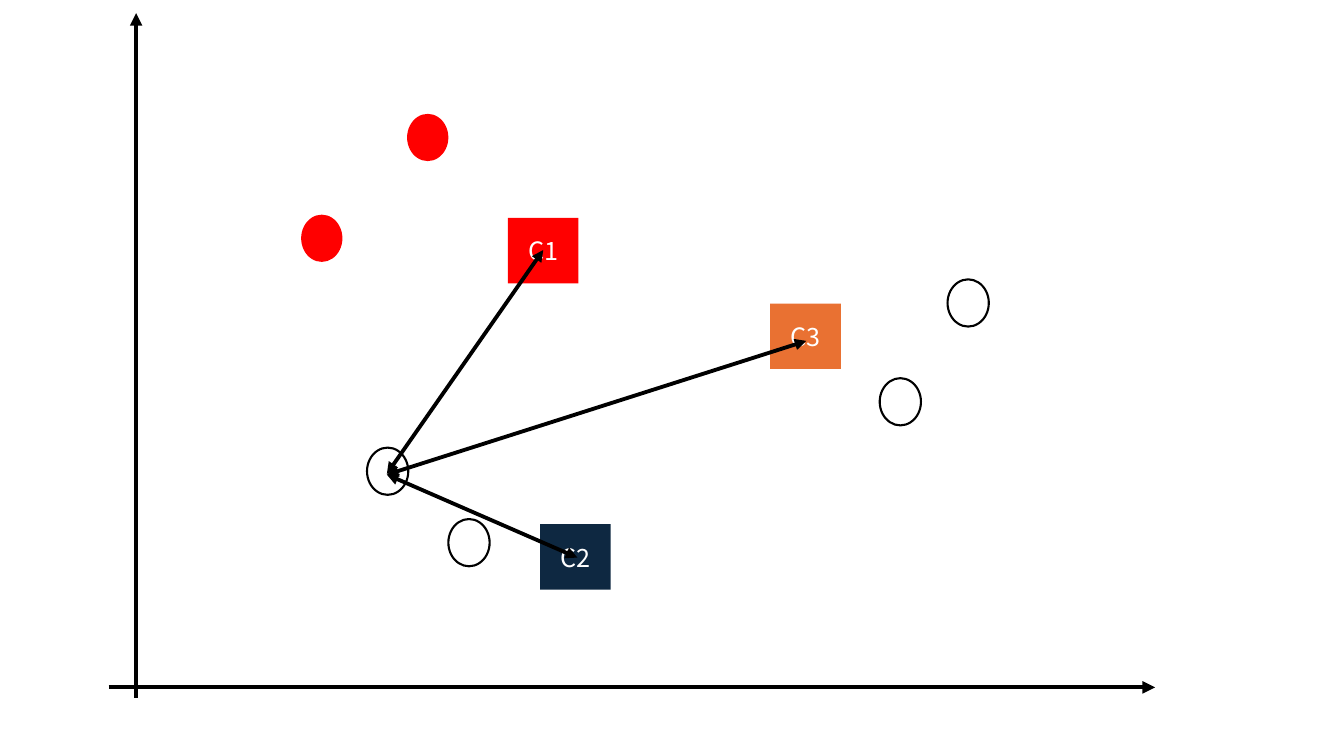
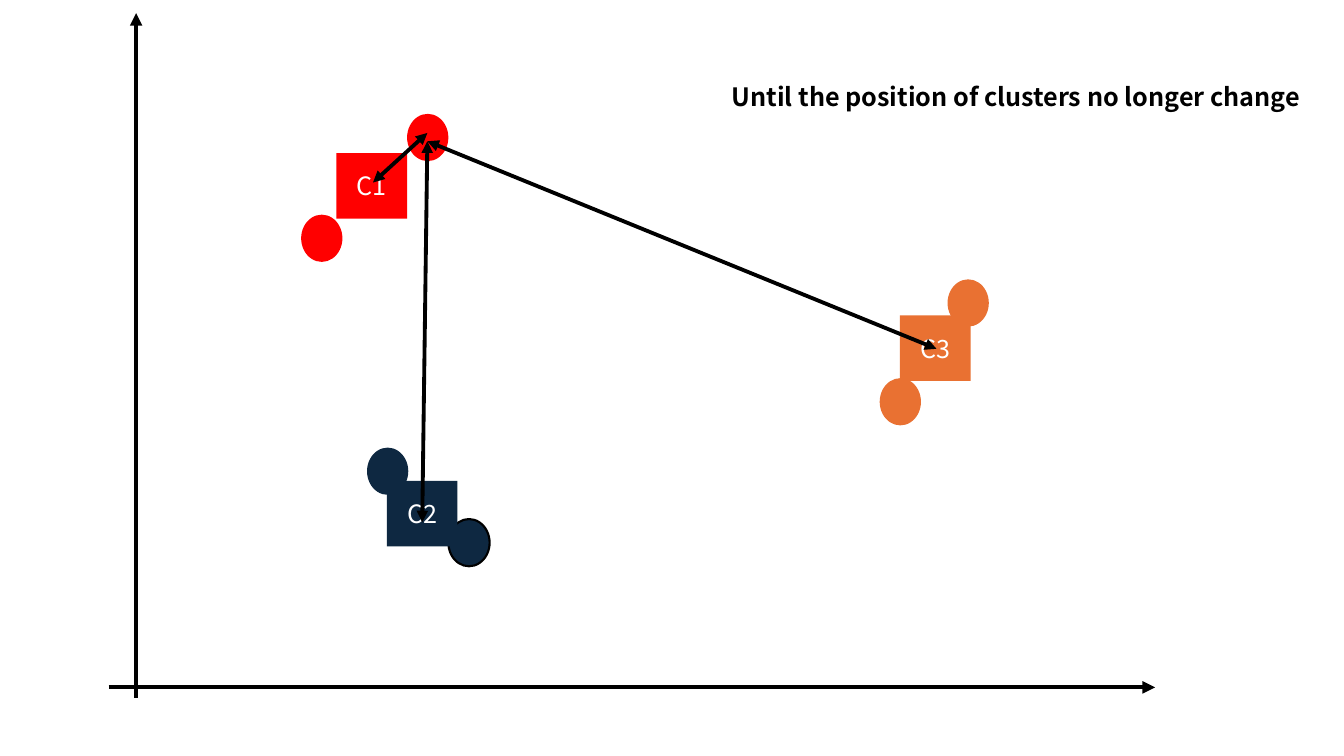
from pptx import Presentation
from pptx.dml.color import RGBColor
from pptx.enum.shapes import MSO_CONNECTOR, MSO_SHAPE
from pptx.enum.text import MSO_ANCHOR, PP_ALIGN
from pptx.oxml.ns import qn
from pptx.util import Cm, Pt
from lxml.etree import SubElement

FONT = "Noto Sans CJK KR"
COLORS = {"black": "000000", "white": "FFFFFF",
          "C1": "FF0000", "C2": "0E2841", "C3": "E97132"}

# All lengths are in centimetres.
AXES = [((2.74, 17.32), (29.11, 17.32)), ((3.43, 17.58), (3.43, 0.33))]
POINT_SIZE = (1.04, 1.19)
CENTROID_SIZE = (1.78, 1.65)
POINTS = {
    "upper left": (7.59, 5.41),
    "lower left": (9.25, 11.28),
    "bottom": (11.3, 13.08),
    "lower right": (22.17, 9.53),
    "upper right": (23.88, 7.04),
    "top": (10.26, 2.87),
}

STEPS = [
    {
        "clusters": {"upper left": "C1", "top": "C1"},
        "outlined": {"lower left", "bottom", "lower right", "upper right"},
        "centroids": {"C1": (12.8, 5.49), "C2": (13.61, 13.21), "C3": (19.41, 7.65)},
        "distances": [((13.69, 6.3), (9.75, 11.94)),
                      ((14.55, 14.05), (9.75, 11.96)),
                      ((20.32, 8.59), (9.75, 11.96))],
    },
    {
        "clusters": {"upper left": "C1", "top": "C1", "lower left": "C2",
                     "bottom": "C2", "lower right": "C3", "upper right": "C3"},
        "outlined": {"bottom"},
        "centroids": {"C1": (8.48, 3.86), "C2": (9.75, 12.12), "C3": (22.68, 7.95)},
        "distances": [((10.77, 3.35), (9.4, 4.6)),
                      ((10.77, 3.56), (10.64, 13.16)),
                      ((10.77, 3.56), (23.6, 8.79))],
        "note": "Until the position of clusters no longer change",
    },
]
NOTE_BOX = (18.19, 1.93, 15.67, 1.02)


def rgb(name):
    return RGBColor.from_string(COLORS[name])


def add_run(paragraph, text, color, bold=False):
    run = paragraph.add_run()
    run.text = text
    run.font.name = FONT
    run.font.size = Pt(18)
    run.font.bold = bold
    run.font.color.rgb = rgb(color)


def add_arrow(slide, start, end, width, ends):
    """Draw a line with triangles at the given ends (headEnd is the start)."""
    arrow = slide.shapes.add_connector(
        MSO_CONNECTOR.STRAIGHT, *map(Cm, start + end))
    arrow.line.color.rgb = rgb("black")
    arrow.line.width = Pt(width)
    properties = arrow.line._get_or_add_ln()
    for name in ends:
        SubElement(properties, qn(f"a:{name}"), type="triangle")
    SubElement(arrow._element.spPr, qn("a:effectLst"))


def add_marker(slide, kind, corner, size, fill, outlined=False):
    marker = slide.shapes.add_shape(kind, *map(Cm, corner + size))
    marker.shadow.inherit = False
    marker.fill.solid()
    marker.fill.fore_color.rgb = rgb(fill)
    if outlined:
        marker.line.color.rgb = rgb("black")
        marker.line.width = Pt(1.5)
    else:
        marker.line.fill.background()
    return marker


def add_centroid(slide, label, corner):
    square = add_marker(slide, MSO_SHAPE.RECTANGLE, corner, CENTROID_SIZE, label)
    square.text_frame.vertical_anchor = MSO_ANCHOR.MIDDLE
    paragraph = square.text_frame.paragraphs[0]
    paragraph.alignment = PP_ALIGN.CENTER
    add_run(paragraph, label, "white")


def add_note(slide, text):
    frame = slide.shapes.add_textbox(*map(Cm, NOTE_BOX)).text_frame
    frame.word_wrap = True
    add_run(frame.paragraphs[0], text, "black", bold=True)


def add_step(deck, step):
    slide = deck.slides.add_slide(deck.slide_layouts[6])
    for start, end in AXES:
        add_arrow(slide, start, end, 3, ["tailEnd"])
    for point, corner in POINTS.items():
        add_marker(slide, MSO_SHAPE.OVAL, corner, POINT_SIZE,
                   step["clusters"].get(point, "white"), point in step["outlined"])
    for label, corner in step["centroids"].items():
        add_centroid(slide, label, corner)
    for start, end in step["distances"]:
        add_arrow(slide, start, end, 2.75, ["headEnd", "tailEnd"])
    if "note" in step:
        add_note(slide, step["note"])


def main():
    deck = Presentation()
    deck.slide_width, deck.slide_height = Cm(33.87), Cm(19.05)
    for step in STEPS:
        add_step(deck, step)
    deck.save("out.pptx")


if __name__ == "__main__":
    main()
